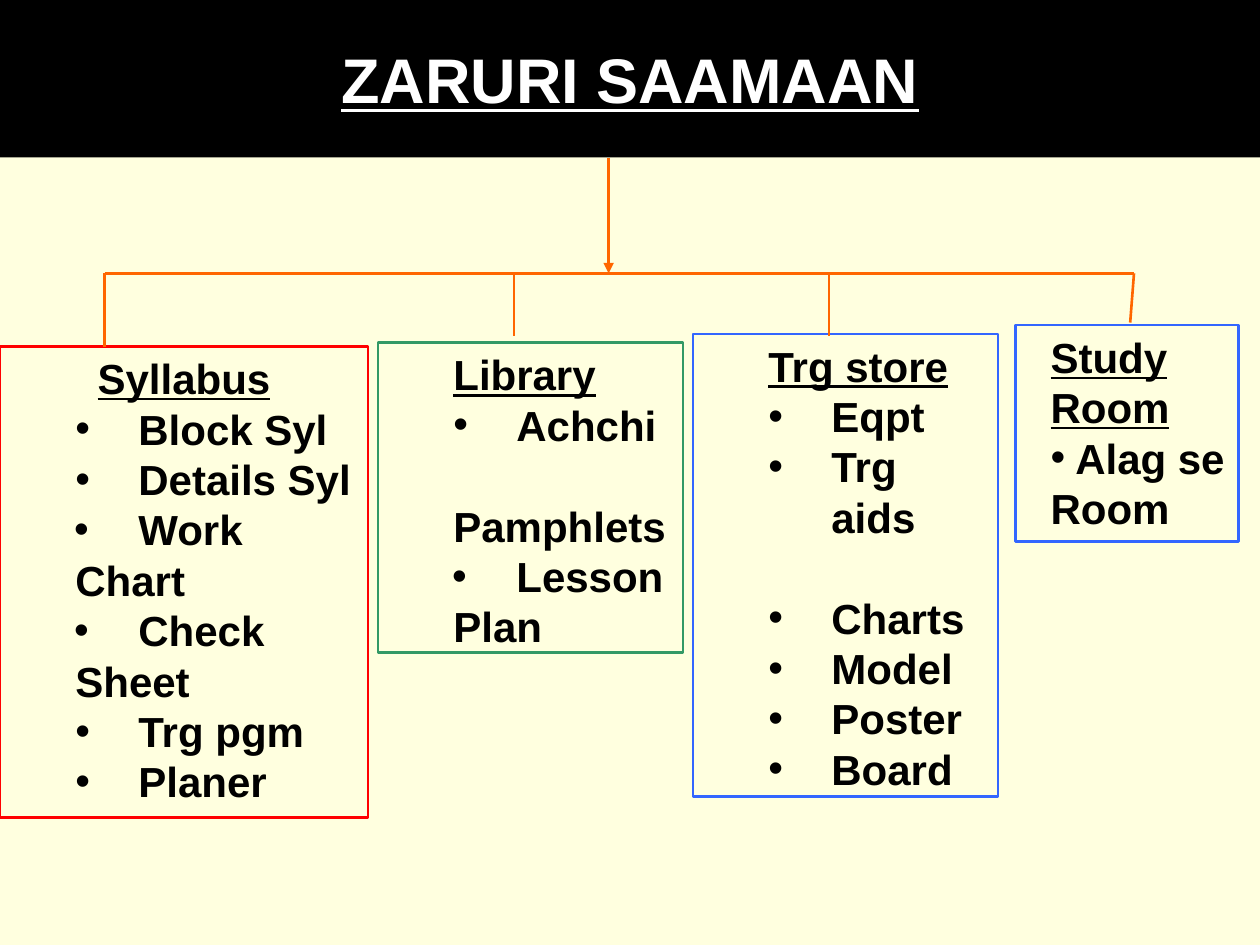
from dataclasses import dataclass

from lxml.etree import SubElement as Sub
from pptx import Presentation
from pptx.dml.color import RGBColor as Rgb
from pptx.enum.shapes import MSO_CONNECTOR as Link, MSO_SHAPE as Kind
from pptx.enum.text import MSO_ANCHOR as Anchor, PP_ALIGN as Align
from pptx.oxml.ns import qn
from pptx.util import Inches, Pt


@dataclass(frozen=True)
class Theme:
    font: str = "Arial"
    back: str = "FFFFDF"
    dark: str = "000000"
    light: str = "FFFFFF"
    wire: str = "FF6600"
    red: str = "FF0000"
    green: str = "339966"
    blue: str = "3366FF"
    head: int = 36
    body: int = 24
    step: float = 28.8
    edge: float = 1.5


T = Theme()
HANG = (1, -0.5)
WRAP = (0.5, -0.01)
TIGHT = (0.26, -0.08)
MID = (0.2, -0.2)
BUS = 2.17

BOXES = [
    ((0, 2.75, 2.92, 3.74), T.red, [
        ("Syllabus", MID, {"under": True, "align": Align.CENTER}),
        ("Block Syl", HANG, {"dot": True}),
        ("Details Syl", HANG, {"dot": True}),
        ("\tWork Chart", WRAP, {"dot": True}),
        ("\tCheck Sheet", WRAP, {"dot": True}),
        ("Trg pgm", HANG, {"dot": True}),
        ("Planer", HANG, {"dot": True}),
    ]),
    ((3, 2.72, 2.42, 2.46), T.green, [
        ("Library", HANG, {"under": True}),
        ("Achchi", HANG, {"dot": True}),
        ("Pamphlets", HANG, {"gap": T.step}),
        ("\tLesson Plan", WRAP, {"dot": True}),
    ]),
    ((5.5, 2.65, 2.42, 3.67), T.blue, [
        ("Trg store", HANG, {"under": True}),
        ("Eqpt", HANG, {"dot": True}),
        ("Trg aids", HANG, {"dot": True}),
        ("Charts", HANG, {"dot": True, "gap": T.step}),
        ("Model", HANG, {"dot": True}),
        ("Poster", HANG, {"dot": True}),
        ("Board", HANG, {"dot": True}),
    ]),
    ((8.06, 2.58, 1.77, 1.72), T.blue, [
        ("Study", TIGHT, {"under": True}),
        ("Room", TIGHT, {"under": True}),
        (" Alag se", TIGHT, {"dot": True}),
        ("Room", TIGHT, {}),
    ]),
]

WIRES = [
    (0.83, BUS, 9, BUS),
    (0.83, BUS, 0.83, 2.75),
    (4.08, BUS, 4.08, 2.67),
    (6.58, BUS, 6.58, 2.67),
    (9, BUS, 8.97, 2.56),
]


def put(item, form):
    for name, value in form.items():
        setattr(item, name, value)


def write(para, text, size, tint, under):
    run = para.add_run()
    run.text = text
    put(run.font, {"name": T.font, "size": Pt(size), "bold": True, "underline": under})
    run.font.color.rgb = Rgb.from_string(tint)


def indent(para, left, first, dot):
    props = para._p.get_or_add_pPr()
    props.set("marL", str(Inches(left)))
    props.set("indent", str(Inches(first)))
    if dot:
        Sub(props, qn("a:buFont"), typeface=T.font)
        Sub(props, qn("a:buChar"), char="•")
    else:
        Sub(props, qn("a:buNone"))
    stops = Sub(props, qn("a:tabLst"))
    Sub(stops, qn("a:tab"), pos=str(Inches(1)), algn="l")


def banner(slide, text):
    bar = slide.shapes.add_shape(Kind.RECTANGLE, 0, 0, Inches(10), Inches(1.25))
    bar.shadow.inherit = False
    bar.fill.solid()
    bar.fill.fore_color.rgb = Rgb.from_string(T.dark)
    bar.line.fill.background()
    bar.text_frame.vertical_anchor = Anchor.MIDDLE
    para = bar.text_frame.paragraphs[0]
    para.alignment = Align.CENTER
    write(para, text, T.head, T.light, True)


def panel(slide, place, tint, rows):
    box = slide.shapes.add_textbox(*map(Inches, place))
    box.line.color.rgb = Rgb.from_string(tint)
    box.line.width = Pt(T.edge)
    frame = box.text_frame
    frame.word_wrap = True
    for i, (text, inset, form) in enumerate(rows):
        para = frame.add_paragraph() if i else frame.paragraphs[0]
        put(para, {
            "alignment": form.get("align", Align.LEFT),
            "line_spacing": Pt(T.step),
            "space_before": Pt(form.get("gap", 0)),
        })
        indent(para, *inset, form.get("dot", False))
        write(para, text, T.body, T.dark, form.get("under", False))


def wire(slide, ends, arrow=False):
    line = slide.shapes.add_connector(Link.STRAIGHT, *map(Inches, ends))
    line.line.color.rgb = Rgb.from_string(T.wire)
    line.line.width = Pt(T.edge)
    if arrow:
        Sub(line.line._get_or_add_ln(), qn("a:tailEnd"), type="triangle")
    Sub(line._element.spPr, qn("a:effectLst"))


def main():
    deck = Presentation()
    put(deck, {"slide_width": Inches(10), "slide_height": Inches(7.5)})
    slide = deck.slides.add_slide(deck.slide_layouts[6])
    slide.background.fill.solid()
    slide.background.fill.fore_color.rgb = Rgb.from_string(T.back)
    banner(slide, "ZARURI SAAMAAN")
    for box in BOXES:
        panel(slide, *box)
    for ends in WIRES:
        wire(slide, ends)
    wire(slide, (4.83, 1.25, 4.83, BUS), arrow=True)
    deck.save("out.pptx")


if __name__ == "__main__":
    main()
